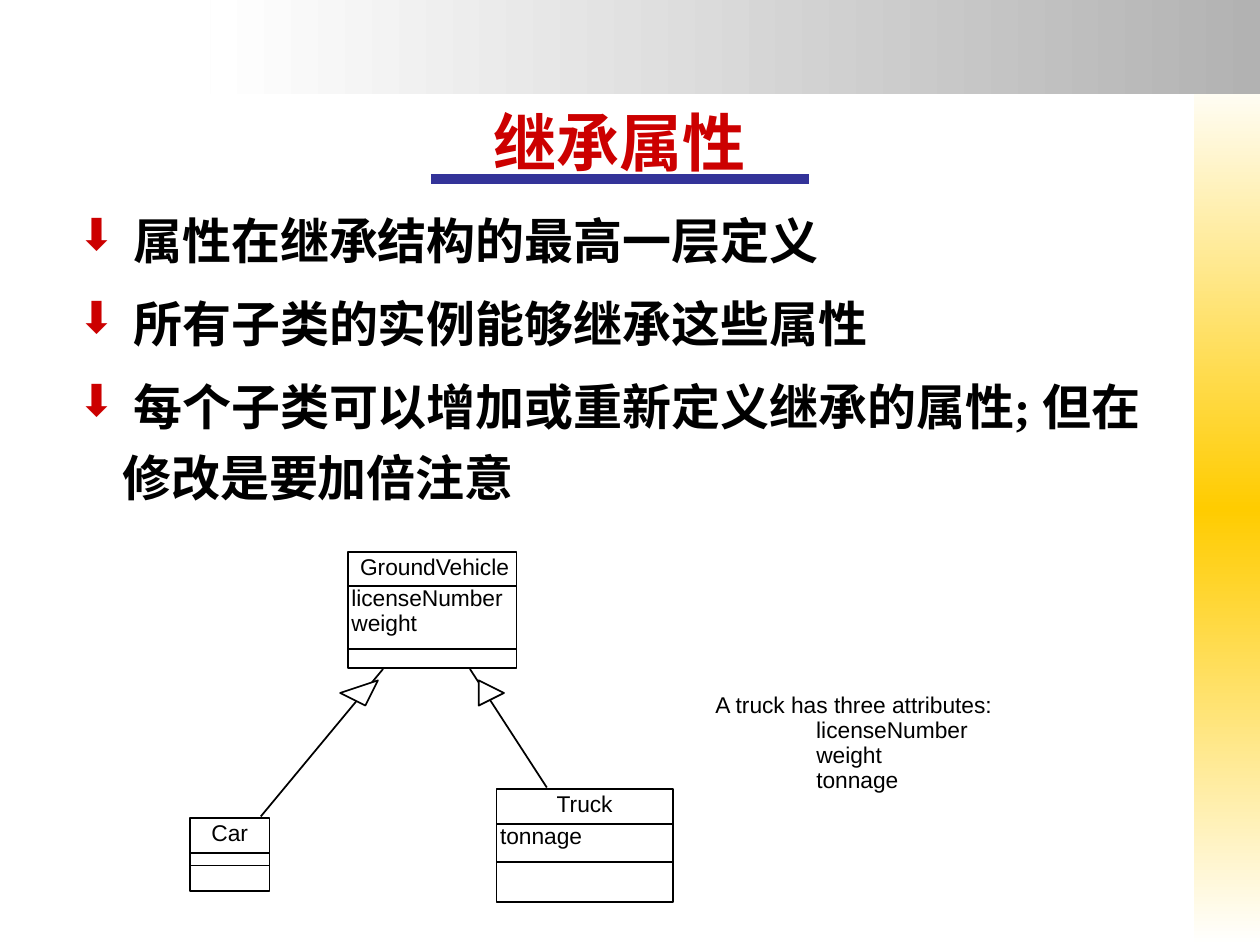
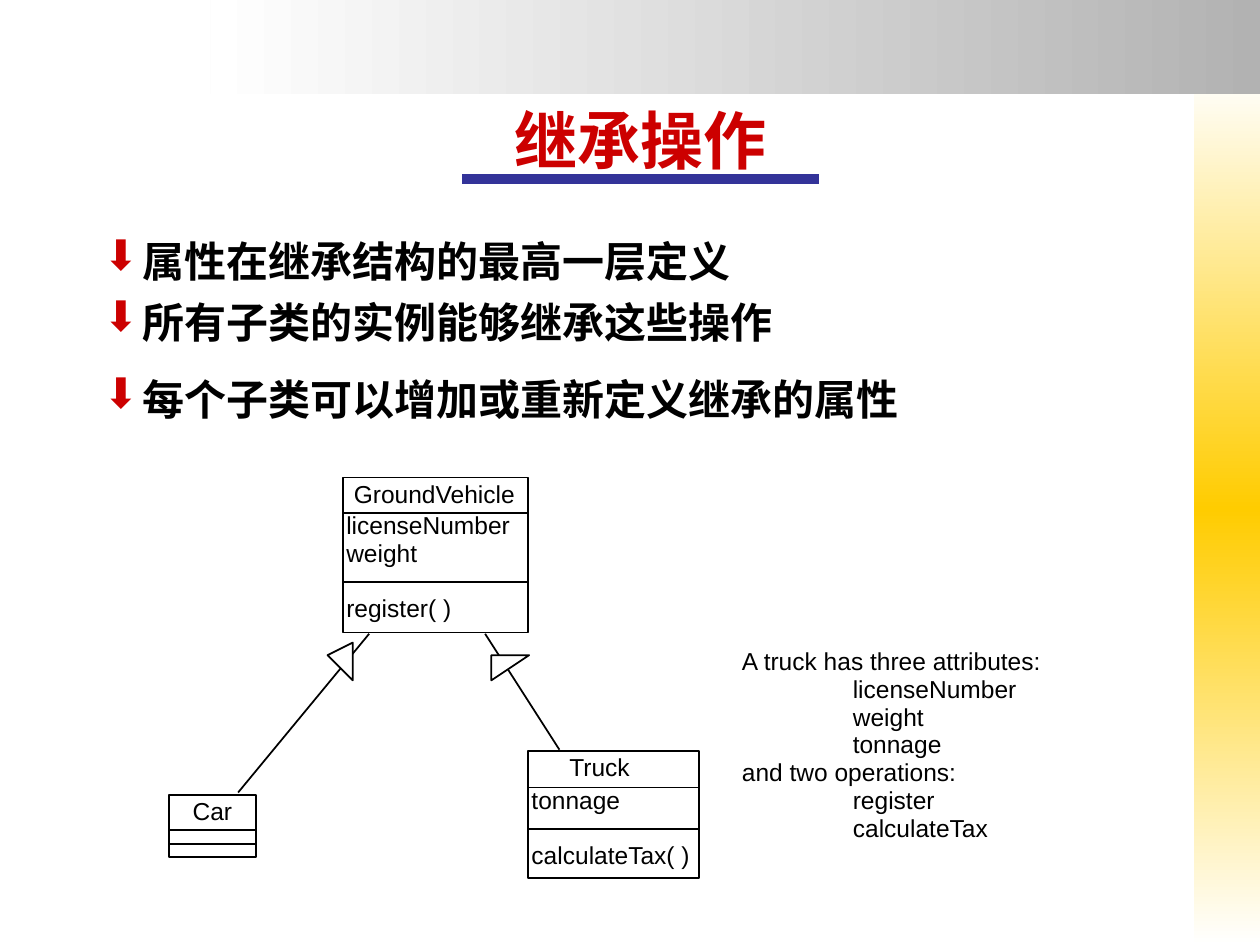
from copy import deepcopy
from math import hypot

from lxml import etree
from pptx import Presentation
from pptx.dml.color import RGBColor
from pptx.enum.shapes import MSO_CONNECTOR, MSO_SHAPE
from pptx.enum.text import MSO_ANCHOR, PP_ALIGN
from pptx.oxml.ns import qn
from pptx.util import Inches, Pt

RECTANGLE = MSO_SHAPE.RECTANGLE
STRAIGHT = MSO_CONNECTOR.STRAIGHT
LEFT, CENTER = PP_ALIGN.LEFT, PP_ALIGN.CENTER
TOP, BOTTOM = MSO_ANCHOR.TOP, MSO_ANCHOR.BOTTOM

BLACK = RGBColor(0x00, 0x00, 0x00)
WHITE = RGBColor(0xFF, 0xFF, 0xFF)
RED = RGBColor(0xCC, 0x00, 0x00)
BLUE = RGBColor(0x33, 0x33, 0x99)
GOLD = RGBColor(0xFF, 0xCC, 0x00)
GREY = RGBColor(0xB2, 0xB2, 0xB2)

SERIF, SANS = "Times New Roman", "Arial"

deck = Presentation()
deck.slide_width, deck.slide_height = Inches(10), Inches(7.5)
CELL = deck.slide_width / 100


def write(page, lines, at, size=13, font=SANS, color=BLACK, bold=False, align=LEFT,
          anchor=TOP, inset=(0, 0), bullet_size=None, margin=0, hanging=0,
          spacing=None, before=None, after=None):
    box = page.shapes.add_textbox(*[round(value * CELL) for value in at])
    frame = box.text_frame
    frame.word_wrap = True
    frame.vertical_anchor = anchor
    frame.margin_left = frame.margin_right = round(inset[0] * CELL)
    frame.margin_top = frame.margin_bottom = round(inset[1] * CELL)
    for index, line in enumerate(lines):
        para = frame.paragraphs[0] if index == 0 else frame.add_paragraph()
        if bullet_size:
            props = para._p.get_or_add_pPr()
            props.set("marL", str(round(margin * CELL)))
            props.set("indent", str(round(-hanging * CELL)))
            tint = etree.SubElement(props, qn("a:buClr"))
            etree.SubElement(tint, qn("a:srgbClr"), val=str(RED))
            etree.SubElement(props, qn("a:buSzPct"), val=str(bullet_size * 1000))
            etree.SubElement(props, qn("a:buChar"), char="⬇")
        para.alignment = align
        para.line_spacing = spacing
        if before:
            para.space_before = Pt(before[index])
        if after:
            para.space_after = Pt(after)
        span = para.add_run()
        span.text = line
        span.font.name, span.font.size = font, Pt(size)
        span.font.bold, span.font.color.rgb = bold, color


def draw_line(page, start, end, color=BLACK, width=1):
    ends = [round(value * CELL) for value in (*start, *end)]
    line = page.shapes.add_connector(STRAIGHT, *ends)
    line.line.color.rgb, line.line.width = color, Pt(width)
    etree.SubElement(line._element.spPr, qn("a:effectLst"))


BANDS = [
    ((94.8, 5.8, 5.2, 69.2), [WHITE, GOLD, WHITE], 270),
    ((16.7, 0, 83.3, 7.5), [GREY, WHITE], 180),
]

SLIDES = [
    {
        "title": "继承属性",
        "title_at": (4.2, 7.5, 90, 6.7),
        "underline": (34.2, 64.2),
        "points": [" 属性在继承结构的最高一层定义",
                   " 所有子类的实例能够继承这些属性",
                   " 每个子类可以增加或重新定义继承的属性; 但在修改是要加倍注意"],
        "points_at": (5, 15.8, 89.2, 24.4),
        "points_style": {"size": 28, "bullet_size": 90, "margin": 4.7, "hanging": 3.5,
                         "spacing": 1.2, "before": (0, 7, 7)},
        "label_size": 13,
        "row": 2,
        "classes": [
            ("GroundVehicle", 27.6, (27.6, 43.8, 13.4, 9.2), (46.5, 51.5),
             ["licenseNumber", "weight"], None),
            ("Car", 15.8, (15.1, 64.9, 6.3, 5.8), (67.7, 68.7), [], None),
            ("Truck", 43.2, (39.4, 62.6, 14, 9), (65.4, 68.4), ["tonnage"], None),
        ],
        "inheritance": [((20.7, 64.8), (30.4, 53.1)), ((43.4, 62.5), (37.3, 53.1))],
        "notes_at": (55.8, 54.3),
        "notes": [("A truck has three attributes:", ["licenseNumber", "weight", "tonnage"])],
    },
    {
        "title": "继承操作",
        "title_at": (6.7, 5.8, 88.3, 8.3),
        "underline": (36.7, 65),
        "points": ["属性在继承结构的最高一层定义",
                   "所有子类的实例能够继承这些操作",
                   "每个子类可以增加或重新定义继承的属性"],
        "points_at": (5, 19.9, 87.9, 14),
        "points_style": {"size": 24, "bullet_size": 100, "margin": 6.3, "hanging": 3.1,
                         "spacing": Pt(20), "before": (0, 0, 9), "after": 15},
        "label_size": 14,
        "row": 2.2,
        "classes": [
            ("GroundVehicle", 27.1, (27.2, 37.9, 14.7, 12.3), (40.7, 46.2),
             ["licenseNumber", "weight"], "register( )"),
            ("Car", 14.3, (13.4, 63.1, 6.9, 4.9), (65.9, 67), [], None),
            ("Truck", 44.2, (41.9, 59.6, 13.6, 10.1), (62.5, 65.8),
             ["tonnage"], "calculateTax( )"),
        ],
        "inheritance": [((18.9, 62.9), (29.3, 50.3)), ((44.4, 59.5), (38.5, 50.3))],
        "notes_at": (57.9, 50.8),
        "notes": [("A truck has three attributes:", ["licenseNumber", "weight", "tonnage"]),
                  ("and two operations:", ["register", "calculateTax"])],
    },
]

for content in SLIDES:
    page = deck.slides.add_slide(deck.slide_layouts[6])

    for at, colors, angle in BANDS:
        band = page.shapes.add_shape(RECTANGLE, *[round(value * CELL) for value in at])
        band.shadow.inherit = False
        band.line.fill.background()
        band.fill.gradient()
        band.fill.gradient_angle = angle
        stop_list = band._element.spPr.find(".//" + qn("a:gsLst"))
        for extra in colors[2:]:
            stop_list.append(deepcopy(stop_list[0]))
        for index, stop in enumerate(band.fill.gradient_stops):
            stop.color.rgb = colors[index]
            stop.position = index / (len(colors) - 1)

    write(page, [content["title"]], content["title_at"], size=36, font=SERIF, color=RED,
          bold=True, align=CENTER, anchor=BOTTOM)
    write(page, content["points"], content["points_at"], font=SERIF, bold=True,
          **content["points_style"])

    size, row = content["label_size"], content["row"]
    labels = []
    for name, name_left, at, dividers, attributes, operation in content["classes"]:
        left, top, width, height = at
        outline = page.shapes.add_shape(RECTANGLE, *[round(value * CELL) for value in at])
        outline.shadow.inherit = False
        outline.fill.background()
        outline.line.color.rgb, outline.line.width = BLACK, Pt(1)
        for divider in dividers:
            draw_line(page, (left, divider), (left + width, divider))
        labels.append((name, name_left, top - 0.4))
        for index, attribute in enumerate(attributes):
            labels.append((attribute, left - 0.7, dividers[0] - 0.7 + index * row))
        if operation:
            labels.append((operation, left - 0.7, dividers[1] + 0.4))

    note_left, note_top = content["notes_at"]
    for heading, members in content["notes"]:
        labels.append((heading, note_left, note_top))
        for index, member in enumerate(members, 1):
            labels.append((member, note_left + 4 * row, note_top + index * row))
        note_top += row * (len(members) + 1)

    for text, left, top in labels:
        write(page, [text], (left, top, 2.5 + len(text) * size * 0.075, 3.2),
              size=size, inset=(1, 0.5))

    for start, end in content["inheritance"]:
        draw_line(page, start, end)
        run, rise = start[0] - end[0], start[1] - end[1]
        length = hypot(run, rise)
        along, down = run / length * row, rise / length * row
        tip_x, tip_y = end[0] + 0.65 * along, end[1] + 0.65 * down
        base_x, base_y = tip_x + 0.95 * along, tip_y + 0.95 * down
        corners = [(base_x - side * down, base_y + side * along) for side in (0.65, -0.65)]
        builder = page.shapes.build_freeform(tip_x, tip_y, scale=CELL)
        builder.add_line_segments(corners, close=True)
        arrow = builder.convert_to_shape()
        arrow.shadow.inherit = False
        arrow.fill.solid()
        arrow.fill.fore_color.rgb = WHITE
        arrow.line.color.rgb, arrow.line.width = BLACK, Pt(1)

    line_left, line_right = content["underline"]
    draw_line(page, (line_left, 14.2), (line_right, 14.2), color=BLUE, width=5.5)

deck.save("out.pptx")
